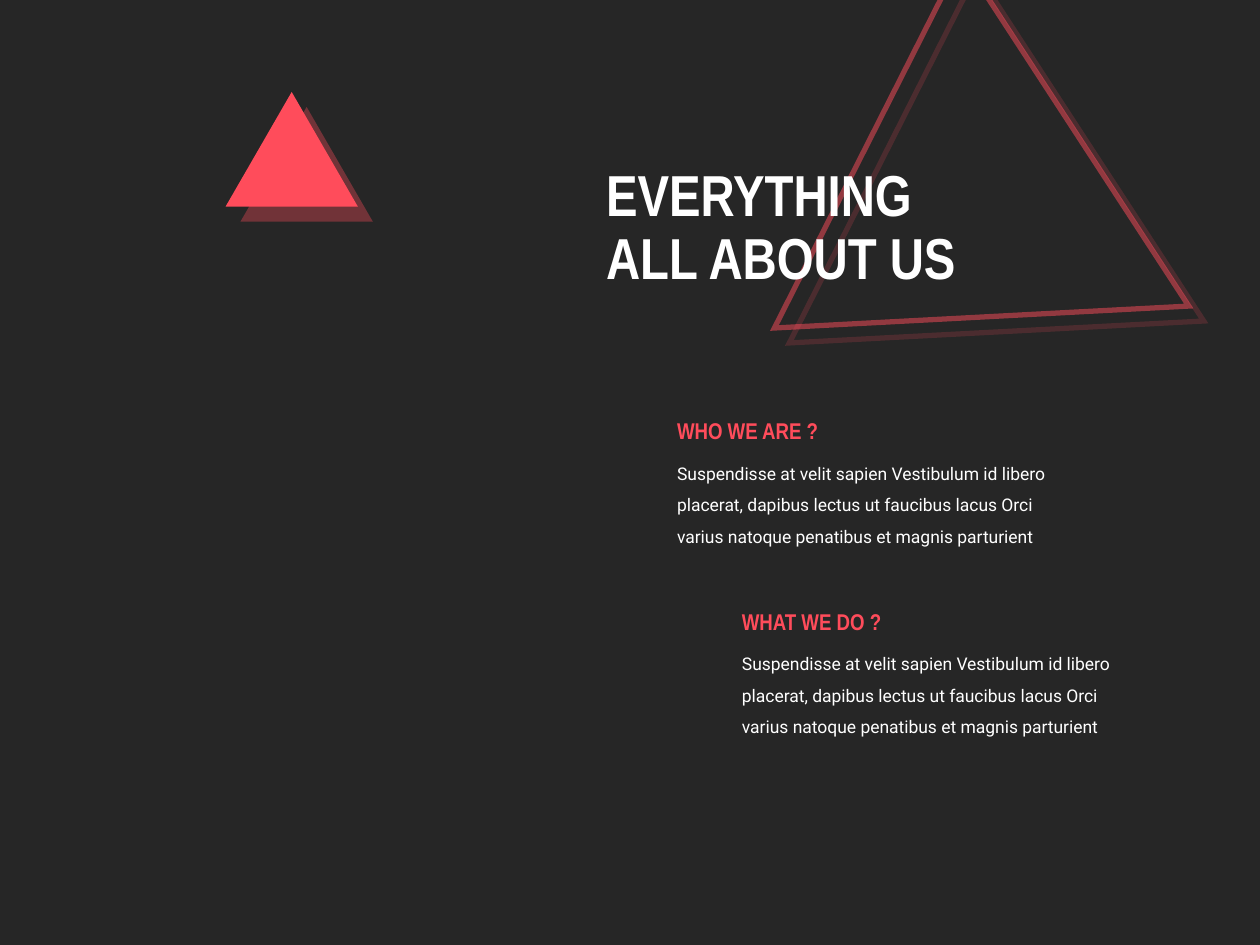
from dataclasses import dataclass

from lxml.etree import SubElement
from pptx import Presentation
from pptx.dml.color import RGBColor
from pptx.enum.shapes import MSO_SHAPE
from pptx.enum.text import MSO_ANCHOR, MSO_AUTO_SIZE, PP_ALIGN
from pptx.oxml.ns import qn
from pptx.util import Inches, Pt

CELL = 0.1
COLS, ROWS = 100, 75
DARK, RED, WHITE = "262626", "FF4C5B", "FFFFFF"
HEAD, BODY = "Arial Narrow", "Roboto"
BLURB = (
    "Suspendisse at velit sapien Vestibulum id libero placerat, "
    "dapibus lectus ut faucibus lacus Orci varius natoque penatibus "
    "et magnis parturient"
)


@dataclass
class Box:
    col: float
    row: float
    wide: float
    high: float

    def spans(self) -> list:
        return [Inches(n * CELL) for n in (self.col, self.row, self.wide, self.high)]


@dataclass
class Topic:
    title: str
    col: float
    row: float


@dataclass
class Style:
    size: float
    font: str
    color: str
    bold: bool = False
    lead: float = 1.0


TITLE = Style(33, HEAD, WHITE, True, 0.9)
LABEL = Style(13, HEAD, RED, True)
TEXT = Style(10, BODY, WHITE, lead=1.5)
TOPICS = [Topic("WHO WE ARE ?", 52.75, 32.6), Topic("WHAT WE DO ?", 57.9, 47.7)]


def tint(code: str) -> RGBColor:
    return RGBColor.from_string(code)


def fade(color, share: int) -> None:
    SubElement(color, qn("a:alpha"), val=str(share * 1000))


def write(shape, text: str, style: Style) -> None:
    frame = shape.text_frame
    frame.word_wrap = True
    frame.text = text
    for para in frame.paragraphs:
        para.alignment = PP_ALIGN.LEFT
        para.line_spacing = style.lead
        for run in para.runs:
            font = run.font
            font.size, font.name, font.bold = Pt(style.size), style.font, style.bold
            font.color.rgb = tint(style.color)


def label(slide, box: Box, text: str, style: Style) -> None:
    write(slide.shapes.add_textbox(*box.spans()), text, style)


def shade(shape) -> None:
    shape.shadow.inherit = False
    effects = shape._element.spPr.find(qn("a:effectLst"))
    outer = SubElement(
        effects, qn("a:outerShdw"), blurRad="0", dist=str(Pt(12.1)),
        dir="2700000", algn="tl", rotWithShape="0",
    )
    fade(SubElement(outer, qn("a:srgbClr"), val=RED), 35)


def peak(slide, box: Box, turn: float = 0, hollow: bool = False) -> None:
    shape = slide.shapes.add_shape(MSO_SHAPE.ISOSCELES_TRIANGLE, *box.spans())
    shape.rotation = turn
    if hollow:
        shape.fill.background()
        shape.line.color.rgb = tint(RED)
        shape.line.width = Pt(3)
        edge = shape._element.spPr.find(qn("a:ln"))
        fade(edge.find(".//" + qn("a:srgbClr")), 50)
        SubElement(edge, qn("a:miter"), lim="800000")
    else:
        shape.fill.solid()
        shape.fill.fore_color.rgb = tint(RED)
        shape.line.fill.background()
    shade(shape)


def head(slide, box: Box, text: str) -> None:
    title = slide.shapes.title
    title.left, title.top, title.width, title.height = box.spans()
    write(title, text, TITLE)
    title.text_frame.auto_size = MSO_AUTO_SIZE.NONE
    title.text_frame.vertical_anchor = MSO_ANCHOR.MIDDLE
    slide.shapes._spTree.append(title._element)


def main() -> None:
    """Build the about-us slide and save it."""
    deck = Presentation()
    deck.slide_width, deck.slide_height = Inches(COLS * CELL), Inches(ROWS * CELL)
    slide = deck.slides.add_slide(deck.slide_layouts[5])
    slide.background.fill.solid()
    slide.background.fill.fore_color.rgb = tint(DARK)
    peak(slide, Box(56.9, 4, 33, 28.5), 236.9, True)
    head(slide, Box(47.1, 10.3, 42.2, 15.8), "EVERYTHING\vALL ABOUT US")
    peak(slide, Box(17.9, 7.3, 10.5, 9.1))
    for topic in TOPICS:
        label(slide, Box(topic.col, topic.row + 2.8, 33.8, 8.5), BLURB, TEXT)
        label(slide, Box(topic.col, topic.row, 18.4, 3.2), topic.title, LABEL)
    deck.save("out.pptx")


if __name__ == "__main__":
    main()
